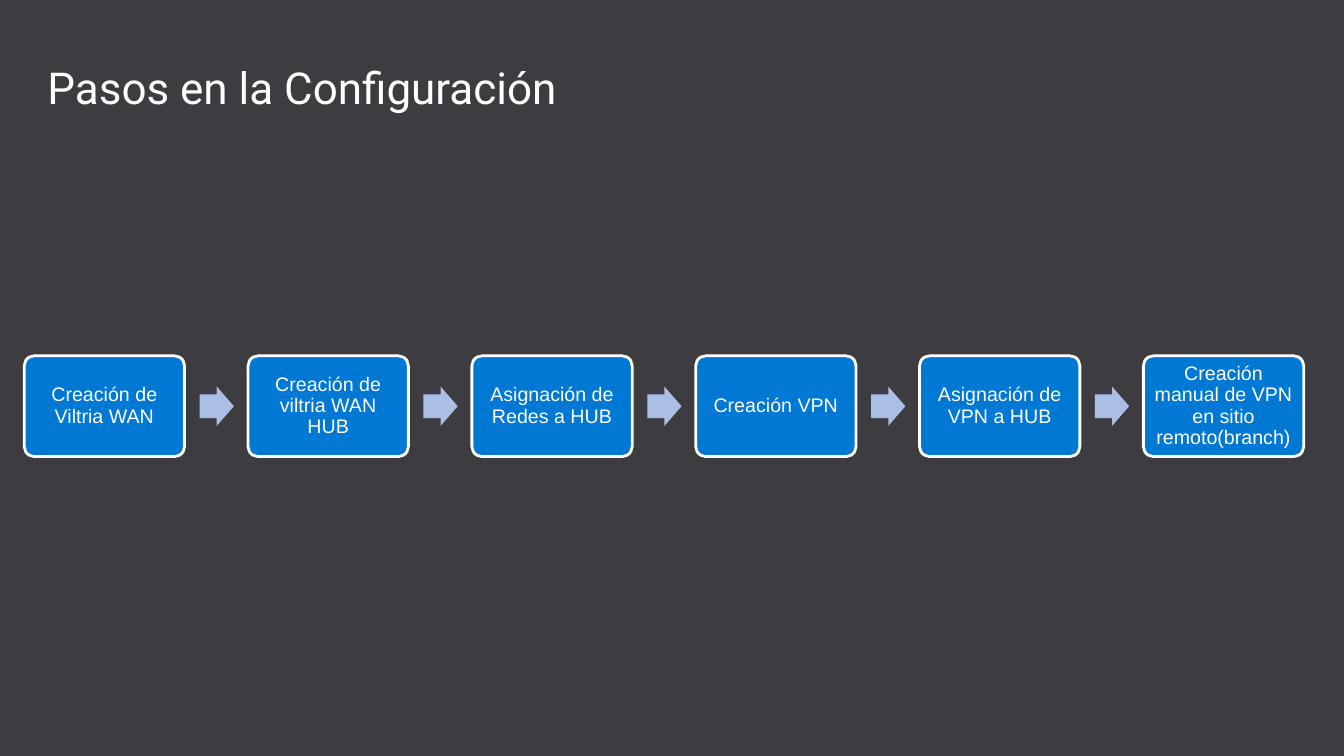
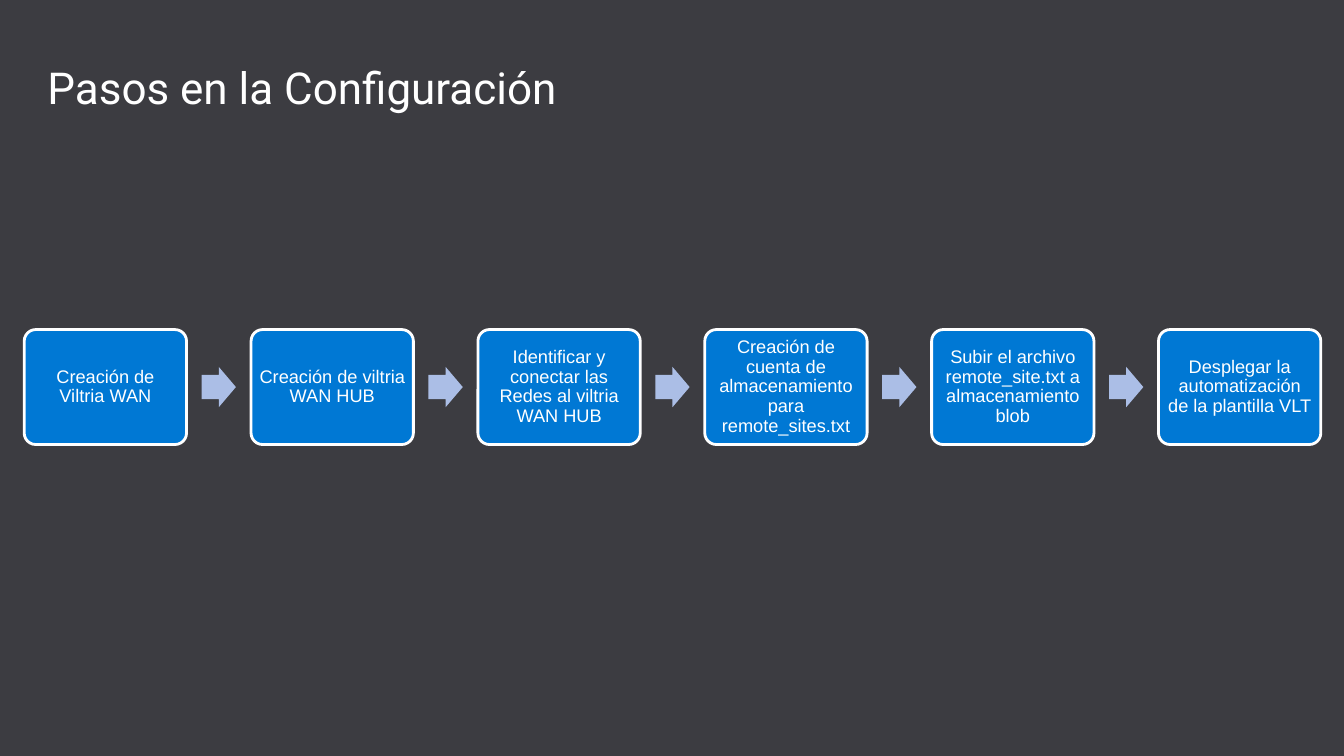
from pptx import Presentation
from pptx.dml.color import RGBColor
from pptx.enum.shapes import MSO_SHAPE
from pptx.enum.text import MSO_ANCHOR, PP_ALIGN
from pptx.util import Inches, Pt

COLORS = {"back": "3C3C41", "box": "0078D4", "arrow": "ABBEE6", "white": "FFFFFF"}
TITLE = "Pasos en la Configuración"
LEFT = 0.24  # left edge of the first box
GAP = 0.15  # from a box to its arrow

# One flow per slide: box sizes in inches, text size in points
FLOWS = [
    {
        "top": 3.53, "wide": 1.59, "high": 1, "pitch": 2.22,
        "arrow": 0.39, "size": 14, "inset": 0.06,
        "steps": [
            "Creación de Viltria WAN",
            "Creación de viltria WAN HUB",
            "Asignación de Redes a HUB",
            "Creación VPN",
            "Asignación de VPN a HUB",
            "Creación manual de VPN en sitio remoto(branch)",
        ],
    },
    {
        "top": 3.27, "wide": 1.61, "high": 1.14, "pitch": 2.25,
        "arrow": 0.4, "size": 13, "inset": 0.05,
        "steps": [
            "Creación de Viltria WAN",
            "Creación de viltria WAN HUB",
            "Identificar y conectar las Redes al viltria WAN HUB",
            "Creación de cuenta de almacenamiento para remote_sites.txt",
            "Subir el archivo remote_site.txt a almacenamiento blob",
            "Desplegar la automatización de la plantilla VLT",
        ],
    },
]


def color(name):
    return RGBColor.from_string(COLORS[name])


def write(shape, text, size, font="Arial", align=PP_ALIGN.CENTER,
          anchor=MSO_ANCHOR.MIDDLE, insets=(0, 0, 0, 0)):
    frame = shape.text_frame
    frame.word_wrap = True
    frame.vertical_anchor = anchor
    (frame.margin_left, frame.margin_top,
     frame.margin_right, frame.margin_bottom) = [Inches(n) for n in insets]
    para = frame.paragraphs[0]
    para.alignment = align
    para.line_spacing = 0.9
    run = para.add_run()
    run.text = text
    run.font.name = font
    run.font.size = Pt(size)
    run.font.color.rgb = color("white")


deck = Presentation()
deck.slide_width, deck.slide_height = Inches(13.33), Inches(7.5)

# Shared background
back = deck.slide_master.background.fill
back.solid()
back.fore_color.rgb = color("back")

for flow in FLOWS:
    slide = deck.slides.add_slide(deck.slide_layouts[6])

    # Title
    title = slide.shapes.add_textbox(
        Inches(0.47), Inches(0.48), Inches(12.4), Inches(0.81))
    write(title, TITLE, 31.4, font="Roboto", align=PP_ALIGN.LEFT,
          anchor=MSO_ANCHOR.TOP, insets=(0, 0.18, 0, 0))

    for i, step in enumerate(flow["steps"]):
        # Step box
        left = LEFT + i * flow["pitch"]
        box = slide.shapes.add_shape(
            MSO_SHAPE.ROUNDED_RECTANGLE, Inches(left), Inches(flow["top"]),
            Inches(flow["wide"]), Inches(flow["high"]))
        box.adjustments[0] = 0.1
        box.shadow.inherit = False
        box.fill.solid()
        box.fill.fore_color.rgb = color("box")
        box.line.color.rgb = color("white")
        box.line.width = Pt(2)
        write(box, step, flow["size"], insets=[flow["inset"]] * 4)

        # Arrow to the next step, centred on the boxes
        if i < len(flow["steps"]) - 1:
            top = flow["top"] + (flow["high"] - flow["arrow"]) / 2
            arrow = slide.shapes.add_shape(
                MSO_SHAPE.RIGHT_ARROW, Inches(left + flow["wide"] + GAP),
                Inches(top), Inches(0.34), Inches(flow["arrow"]))
            arrow.adjustments[0] = 0.6
            arrow.adjustments[1] = 0.5
            arrow.shadow.inherit = False
            arrow.fill.solid()
            arrow.fill.fore_color.rgb = color("arrow")
            arrow.line.fill.background()

deck.save("out.pptx")
